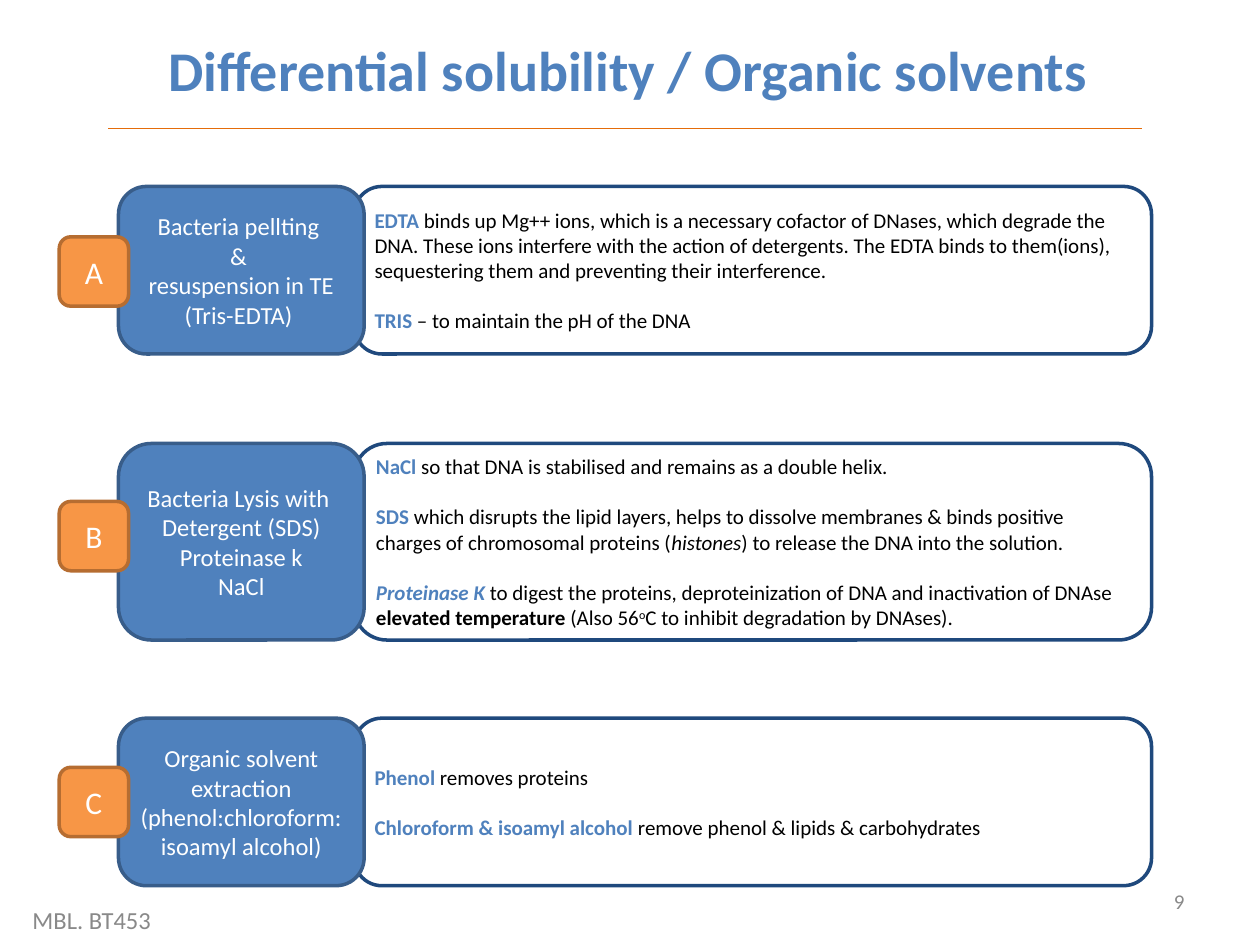
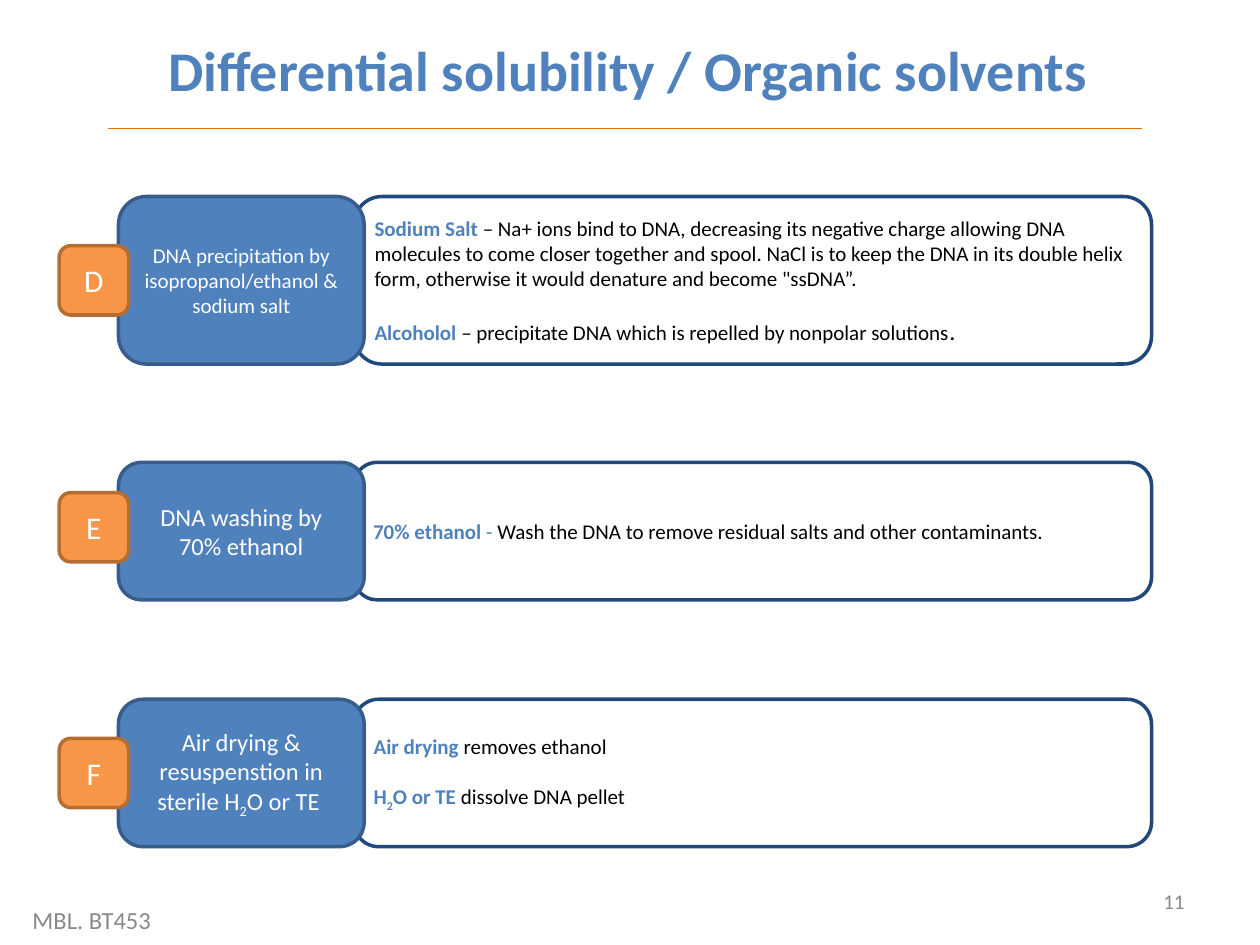
from dataclasses import dataclass

from lxml import etree
from pptx import Presentation
from pptx import util as u
from pptx.dml.color import RGBColor
from pptx.enum import shapes, text
from pptx.oxml.ns import qn


@dataclass(frozen=True)
class Theme:
    """Colours, type and the grid shared by both slides."""
    font: str = "Calibri"
    blue: str = "4F81BD"
    blue_edge: str = "385D8A"
    navy: str = "1F497D"
    orange: str = "F79646"
    orange_edge: str = "B66D31"
    rule: str = "E46C0A"
    white: str = "FFFFFF"
    black: str = "000000"
    grey: str = "898989"
    title: int = 32
    badge: int = 18
    label: int = 14
    body: int = 12
    gap: float = 14.4
    columns: int = 100
    rows: int = 75


T = Theme()
LEFT, CENTER, RIGHT = text.PP_ALIGN.LEFT, text.PP_ALIGN.CENTER, text.PP_ALIGN.RIGHT
KEY = {"color": T.blue, "bold": True}
SUB = {"baseline": -25}
SUPER = {"baseline": 30}

TITLE = "Differential solubility / Organic solvents"
FOOTER = "MBL. BT453"


@dataclass(frozen=True)
class Step:
    """One protocol step: row position, badge, label and explanation."""
    letter: str
    top: float
    height: float
    badge_top: float
    label: list
    details: list
    label_size: int = T.label


STEPS = {
    9: [
        Step("A", 14.8, 13.3, 18.8,
             ["Bacteria pellting ", "& ", "resuspension in TE (Tris-EDTA) "],
             [[("EDTA", KEY), " binds up Mg++ ions, which is a necessary cofactor of DNases, "
               "which degrade the DNA. These ions interfere with the action of detergents. "
               "The EDTA binds to them(ions), sequestering them and preventing their "
               "interference."],
              [("TRIS", KEY), " – to maintain the pH of the DNA"]]),
        Step("B", 35.2, 15.6, 39.8,
             ["Bacteria Lysis with ", "Detergent (SDS)", "Proteinase k", "NaCl"],
             [[("NaCl", KEY), " so that DNA is stabilised and remains as a double helix."],
              [("SDS", KEY), " which disrupts the lipid layers, helps to dissolve membranes & "
               "binds positive charges of chromosomal proteins (",
               ("histones", {"italic": True}), ") to release the DNA into the solution."],
              [("Proteinase K", {**KEY, "italic": True}),
               " to digest the proteins, deproteinization of DNA and inactivation of DNAse ",
               ("elevated temperature", {"bold": True}), " (Also 56", ("o", SUPER),
               "C to inhibit degradation by DNAses)."]]),
        Step("C", 57, 13.3, 60.9,
             ["Organic solvent extraction", "(phenol:chloroform:isoamyl alcohol)"],
             [[("Phenol", KEY), " removes proteins"],
              [("Chloroform & isoamyl alcohol", KEY),
               " remove phenol & lipids & carbohydrates"]]),
    ],
    11: [
        Step("D", 15.6, 13.3, 19.5,
             ["DNA precipitation by isopropanol/ethanol & sodium salt"],
             [[("Sodium Salt ", KEY), "– Na+ ions bind to DNA, decreasing its negative charge "
               "allowing DNA molecules to come closer together and spool. NaCl is to keep the "
               "DNA in its double helix form, otherwise it would denature and become "
               "\"ssDNA”."],
              [("Alcoholol ", KEY),
               "– precipitate DNA which is repelled by nonpolar solutions",
               (".", {"size": T.label})]],
             label_size=T.body),
        Step("E", 36.7, 10.9, 39.1,
             ["DNA washing by 70% ethanol"],
             [[("70% ethanol", KEY), (" - ", {"color": T.blue}),
               "Wash the DNA to remove residual salts and other contaminants."]]),
        Step("F", 55.5, 11.7, 58.6,
             [["Air drying & resuspenstion in sterile H", ("2", SUB), "O or TE "]],
             [[("Air drying", KEY), " removes ethanol"],
              [("H", KEY), ("2", {**KEY, **SUB}), ("O or TE ", KEY), "dissolve DNA pellet"]]),
    ],
}


def grid(prs, *cells):
    """Turn column, row pairs into lengths on the slide."""
    units = (prs.slide_width / T.columns, prs.slide_height / T.rows)
    return [u.Emu(round(c * units[i % 2])) for i, c in enumerate(cells)]


def add_run(p, content, size, color, bold=False, italic=False, baseline=0):
    """Append one formatted run to a paragraph."""
    r = p.add_run()
    r.text = content
    r.font.name, r.font.size = T.font, u.Pt(size)
    r.font.bold, r.font.italic = bold, italic
    r.font.color.rgb = RGBColor.from_string(color)
    if baseline:
        r.font._element.set("baseline", str(baseline * 1000))


def write(sp, paragraphs, align=LEFT, anchor=text.MSO_ANCHOR.MIDDLE, gap=0, **fmt):
    """Fill a shape with paragraphs made of plain or formatted runs."""
    tf = sp.text_frame
    tf.word_wrap, tf.vertical_anchor = True, anchor
    for i, runs in enumerate(paragraphs):
        p = tf.paragraphs[0] if i == 0 else tf.add_paragraph()
        p.alignment = align
        if i and gap:
            p.space_before = u.Pt(gap)
        for run in [runs] if isinstance(runs, str) else runs:
            content, extra = (run, {}) if isinstance(run, str) else run
            add_run(p, content, **{**fmt, **extra})


def add_box(prs, slide, cells, fill, edge, paragraphs, **fmt):
    """Draw a rounded box holding text."""
    sp = slide.shapes.add_shape(shapes.MSO_SHAPE.ROUNDED_RECTANGLE, *grid(prs, *cells))
    sp.shadow.inherit = False
    sp.fill.solid()
    sp.fill.fore_color.rgb = RGBColor.from_string(fill)
    sp.line.color.rgb = RGBColor.from_string(edge)
    sp.line.width = u.Pt(2)
    write(sp, paragraphs, **fmt)


def add_label(prs, slide, cells, content, **fmt):
    """Place a line of free text."""
    write(slide.shapes.add_textbox(*grid(prs, *cells)), [content], **fmt)


def add_rule(prs, slide, cells):
    """Draw the thin line below the title."""
    line = slide.shapes.add_connector(shapes.MSO_CONNECTOR.STRAIGHT, *grid(prs, *cells))
    line.line.color.rgb = RGBColor.from_string(T.rule)
    line.line.width = u.Pt(0.75)
    etree.SubElement(line._element.spPr, qn("a:effectLst"))


def add_step(prs, slide, step):
    """Draw the explanation, label and badge of one step."""
    add_box(prs, slide, (28.1, step.top, 63.3, step.height), T.white, T.navy,
            step.details, gap=T.gap, size=T.body, color=T.black)
    add_box(prs, slide, (9.4, step.top, 19.5, step.height), T.blue, T.blue_edge,
            step.label, align=CENTER, size=step.label_size, color=T.white)
    add_box(prs, slide, (4.7, step.badge_top, 5.5, 5.5), T.orange, T.orange_edge,
            [step.letter], align=CENTER, size=T.badge, color=T.white)


def add_frame(prs, slide, number):
    """Add the title, rule, footer and slide number."""
    add_label(prs, slide, (9, 2.3, 81.7, 5.4), TITLE, align=CENTER,
              anchor=text.MSO_ANCHOR.TOP, size=T.title, color=T.blue, bold=True)
    add_rule(prs, slide, (8.6, 10.2, 90.6, 10.2))
    add_label(prs, slide, (1.6, 71, 35, 4), FOOTER, size=T.label, color=T.grey)
    add_label(prs, slide, (71.7, 69.5, 23.3, 4), str(number), align=RIGHT,
              size=T.body, color=T.grey)


def main():
    """Build and save the slides."""
    prs = Presentation()
    prs.slide_width, prs.slide_height = u.Inches(10), u.Inches(7.5)
    for number, steps in STEPS.items():
        slide = prs.slides.add_slide(prs.slide_layouts[6])
        add_frame(prs, slide, number)
        for step in steps:
            add_step(prs, slide, step)
    prs.save("out.pptx")


if __name__ == "__main__":
    main()
